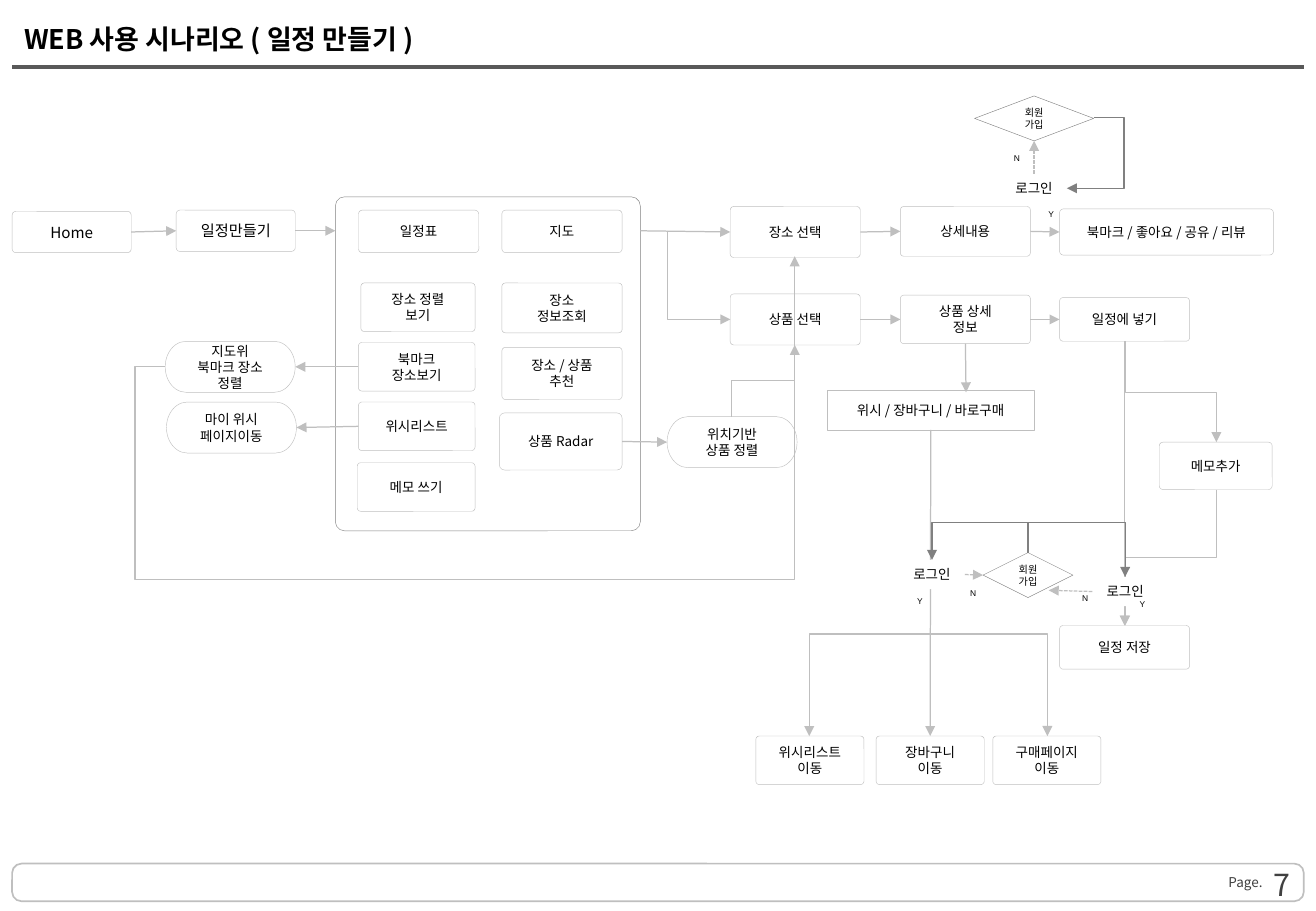
from lxml import etree
from pptx import Presentation
from pptx.dml.color import RGBColor
from pptx.enum.dml import MSO_LINE
from pptx.enum.shapes import MSO_CONNECTOR, MSO_SHAPE
from pptx.enum.text import MSO_ANCHOR, MSO_AUTO_SIZE, PP_ALIGN
from pptx.oxml.ns import qn
from pptx.util import Pt

PX = 9144  # 100 px to the inch
STRAIGHT, ELBOW = MSO_CONNECTOR.STRAIGHT, MSO_CONNECTOR.ELBOW
LEFT, CENTER, RIGHT = PP_ALIGN.LEFT, PP_ALIGN.CENTER, PP_ALIGN.RIGHT
MIDDLE, DASH = MSO_ANCHOR.MIDDLE, MSO_LINE.SQUARE_DOT
ROUND = MSO_SHAPE.ROUNDED_RECTANGLE
PILL = MSO_SHAPE.FLOWCHART_TERMINATOR
CHOICE = MSO_SHAPE.FLOWCHART_DECISION
RECT = MSO_SHAPE.RECTANGLE
SANS, ARIAL = "Noto Sans CJK KR", "Arial"
HEX = {"white": "FFFFFF", "black": "000000", "light": "BFBFBF",
       "mid": "808080", "rule": "595959", "page": "404040"}
INK = {name: RGBColor.from_string(code) for name, code in HEX.items()}

deck = Presentation()
deck.slide_width, deck.slide_height = 1083 * PX, 750 * PX
slide = deck.slides.add_slide(deck.slide_layouts[5])
shapes = slide.shapes


def write(frame, text, size, font=SANS, ink="black", align=CENTER):
    frame.text = text
    for para in frame.paragraphs:
        para.alignment = align
        for run in para.runs:
            run.font.size, run.font.name = Pt(size), font
            run.font.color.rgb = INK[ink]
            etree.SubElement(run.font._element, qn("a:ea"), typeface=SANS)


def style(link, ink, width=0.75, dash=None, head=True):
    link.line.color.rgb = INK[ink]
    link.line.width = Pt(width)
    if dash:
        link.line.dash_style = dash
    if head:
        etree.SubElement(link.line._get_or_add_ln(), qn("a:tailEnd"), type="triangle")
    etree.SubElement(link._element.spPr, qn("a:effectLst"))


# Page frame
foot = shapes.add_shape(ROUND, 10 * PX, 711 * PX, 1063 * PX, 31 * PX)
foot.shadow.inherit = False
foot.adjustments[0] = 0.25
foot.fill.background()
foot.line.color.rgb = INK["light"]
foot.line.width = Pt(1)
rule = shapes.add_connector(STRAIGHT, 10 * PX, 55 * PX, 1073 * PX, 55 * PX)
style(rule, "rule", 2.25, head=False)

title = shapes.title
title.left, title.top, title.width, title.height = 10 * PX, 8 * PX, 1063 * PX, 47 * PX
write(title.text_frame, "WEB 사용 시나리오 ( 일정 만들기 )", 16, align=LEFT)
title.text_frame.paragraphs[0].runs[0].font.bold = True
title.text_frame.vertical_anchor = MIDDLE
title.text_frame.word_wrap = False
title.text_frame.auto_size = MSO_AUTO_SIZE.NONE

for x, y, w, h, text, size, align, inset in [
        (1011, 720, 46, 13, "Page.", 8, LEFT, 0),
        (819, 720, 253, 16, "7", 18, RIGHT, 10)]:
    frame = shapes.add_textbox(x * PX, y * PX, w * PX, h * PX).text_frame
    frame.word_wrap = True
    frame.margin_left = frame.margin_right = inset * PX
    frame.margin_top = frame.margin_bottom = 0
    frame.vertical_anchor = MIDDLE
    write(frame, text, size, ink="page", align=align)

# Boxes: name, kind, left, top, width, height, corner radius, text size, text
flow = [
    ("panel", ROUND, 276, 162, 251, 275, 8, 8, ""),
    ("home", ROUND, 10, 174, 98, 34, 3, 9, "Home"),
    ("plan", ROUND, 145, 173, 98, 34, 3, 9, "일정만들기"),
    ("table", ROUND, 295, 173, 99, 35, 3, 8, "일정표"),
    ("order", ROUND, 297, 233, 94, 40, 3, 8, "장소 정렬\n보기"),
    ("mark", ROUND, 295, 282, 96, 40, 3, 8, "북마크\n장소보기"),
    ("wish", ROUND, 295, 331, 96, 40, 3, 8, "위시리스트"),
    ("memo", ROUND, 294, 381, 97, 40, 3, 8, "메모 쓰기"),
    ("map", ROUND, 413, 173, 99, 35, 3, 8, "지도"),
    ("look", ROUND, 413, 233, 99, 41, 3, 8, "장소\n정보조회"),
    ("tips", ROUND, 413, 286, 99, 43, 3, 8, "장소 / 상품\n추천"),
    ("radar", ROUND, 411, 340, 101, 47, 4, 8, "상품 Radar"),
    ("place", ROUND, 601, 170, 107, 42, 3, 8, "장소 선택"),
    ("goods", ROUND, 601, 242, 107, 42, 3, 8, "상품 선택"),
    ("detail", ROUND, 741, 170, 107, 41, 3, 8, "상세내용"),
    ("info", ROUND, 741, 243, 107, 40, 3, 8, "상품 상세\n정보"),
    ("share", ROUND, 872, 172, 176, 38, 3, 8, "북마크 / 좋아요 / 공유 / 리뷰"),
    ("insert", ROUND, 872, 245, 107, 36, 3, 8, "일정에 넣기"),
    ("save", ROUND, 872, 515, 107, 36, 3, 8, "일정 저장"),
    ("add", ROUND, 954, 364, 93, 39, 3, 8, "메모추가"),
    ("buy", ROUND, 681, 321, 170, 33, 0, 8, "위시 / 장바구니 / 바로구매"),
    ("list", ROUND, 622, 606, 89, 40, 3, 8, "위시리스트\n이동"),
    ("cart", ROUND, 721, 606, 89, 40, 3, 8, "장바구니\n이동"),
    ("pay", ROUND, 817, 606, 89, 40, 3, 8, "구매페이지 이동"),
    ("sort", PILL, 136, 281, 107, 42, 0, 8, "지도위\n북마크 장소\n정렬"),
    ("mine", PILL, 137, 331, 107, 42, 0, 8, "마이 위시\n페이지이동"),
    ("near", PILL, 549, 343, 107, 42, 0, 8, "위치기반\n상품 정렬"),
]
login = [
    ("login1", None, 824, 143, 54, 24, 0, 8, "로그인"),
    ("join1", CHOICE, 802, 79, 98, 37, 0, 6, "회원\n가입"),
    ("no1", None, 824, 121, 26, 19, 0, 5, "N"),
    ("yes1", None, 853, 167, 24, 19, 0, 5, "Y"),
    ("login2", RECT, 740, 461, 54, 24, 0, 8, "로그인"),
    ("join2", CHOICE, 809, 455, 74, 37, 0, 6, "회원가입"),
    ("no2", None, 788, 479, 26, 19, 0, 5, "N"),
    ("yes2", None, 745, 486, 24, 19, 0, 5, "Y"),
    ("login3", RECT, 899, 475, 54, 24, 0, 8, "로그인"),
    ("yes3", None, 928, 488, 24, 19, 0, 5, "Y"),
    ("no3", None, 880, 483, 26, 19, 0, 5, "N"),
]

# Straight arrows: each end is a box name with a side, or a point
steps = [
    (("insert", 2), ("save", 0)), (("buy", 2), ("cart", 0)),
    (("home", 3), ("plan", 1)), (("plan", 3), (276, 190)),
    ((527, 190), ("place", 1)), (("place", 3), ("detail", 1)),
    (("detail", 3), ("share", 1)), (("goods", 3), ("info", 1)),
    (("info", 3), ("insert", 1)), (("info", 2), (795, 323)),
    (("radar", 3), ("near", 1)), (("mark", 1), ("sort", 3)),
    (("wish", 1), ("mine", 3)),
]
checks = [(("login1", 0), ("join1", 2)), (("login2", 3), ("join2", 1)),
          (("login3", 1), (863, 486))]

# Bent arrows: start, end, starts upright, places of the inner turns
turns = [
    ((766, 439), (666, 606), True, [522]),
    ((766, 439), (862, 606), True, [522]),
    ((1001, 403), (926, 515), True, [459]),
    ((926, 281), (1001, 364), True, [323]),
    ((549, 190), (601, 263), True, []),
    ((602, 343), (654, 284), True, [313]),
    ((136, 302), (654, 211), False, [111, 477]),
]
loops = [
    ((900, 97), (878, 155), False, [925]),
    ((846, 455), (767, 461), True, [430]),
    ((846, 455), (926, 475), True, [430]),
]

made = {}
for boxes, lines, bends, tone, dash in [(flow, steps, turns, "light", None),
                                        (login, checks, loops, "mid", DASH)]:
    for name, kind, x, y, w, h, r, size, text in boxes:
        place = x * PX, y * PX, w * PX, h * PX
        if kind is None:
            box = shapes.add_textbox(*place)
        else:
            box = shapes.add_shape(kind, *place)
            box.shadow.inherit = False
            box.fill.solid()
            box.fill.fore_color.rgb = INK["white"]
            if kind == RECT:
                box.line.fill.background()
            else:
                dark = kind == CHOICE or name == "panel"
                box.line.color.rgb = INK["mid" if dark else "light"]
                box.line.width = Pt(0.25)
        if kind == ROUND:
            box.adjustments[0] = round(r / min(w, h), 2)
        plain = kind in (None, RECT)
        frame = box.text_frame
        frame.word_wrap = not plain
        frame.vertical_anchor = MSO_ANCHOR.TOP if plain else MIDDLE
        if text:
            write(frame, text, size, ARIAL if plain else SANS)
        made[name] = box

    for start, end in lines:
        link = shapes.add_connector(STRAIGHT, 0, 0, 0, 0)
        if start[0] in made:
            link.begin_connect(made[start[0]], start[1])
        else:
            link.begin_x, link.begin_y = start[0] * PX, start[1] * PX
        if end[0] in made:
            link.end_connect(made[end[0]], end[1])
        else:
            link.end_x, link.end_y = end[0] * PX, end[1] * PX
        style(link, "light", dash=dash)

    for (x1, y1), (x2, y2), upright, stops in bends:
        dx, dy = x2 - x1, y2 - y1
        ends = [x1, y1, x2, y2]
        if upright:  # the frame before its quarter turn
            mx, my = (x1 + x2) / 2, (y1 + y2) / 2
            ends = [mx - dy / 2, my + dx / 2, mx + dy / 2, my - dx / 2]
        link = shapes.add_connector(ELBOW, *[int(v * PX) for v in ends])
        if upright:
            link._element.spPr.find(qn("a:xfrm")).set("rot", "5400000")
        geom = link._element.spPr.find(qn("a:prstGeom"))
        geom.set("prst", f"bentConnector{len(stops) + 2}")
        spans = [(y1, dy)] if upright else [(x1, dx), (y1, dy)]
        for i, (stop, (base, span)) in enumerate(zip(stops, spans), 1):
            etree.SubElement(geom.find(qn("a:avLst")), qn("a:gd"), name=f"adj{i}",
                             fmla=f"val {round((stop - base) / span * 100000)}")
        style(link, tone)

deck.save("out.pptx")
